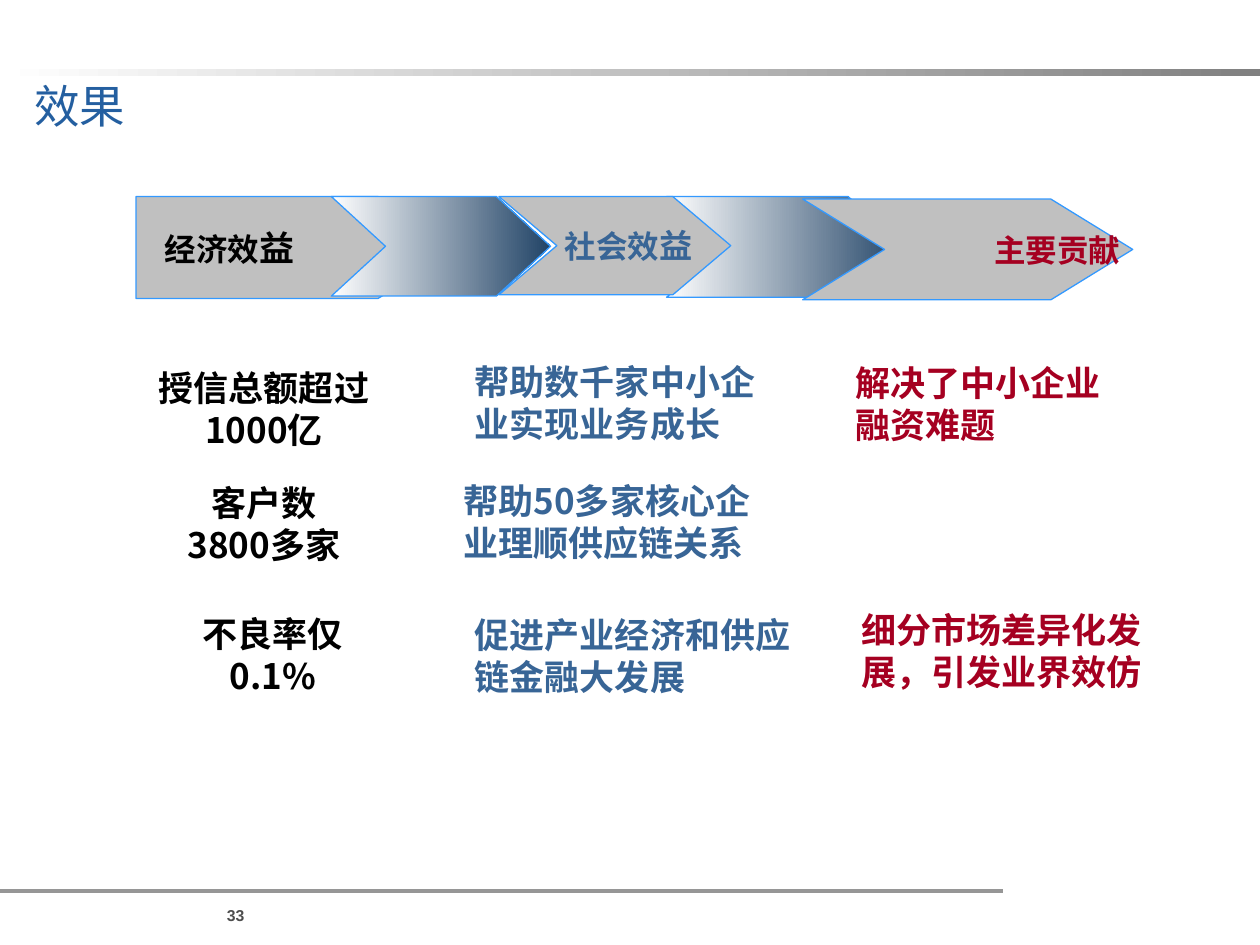
from dataclasses import dataclass

from lxml.etree import SubElement
from pptx import Presentation
from pptx.dml.color import RGBColor
from pptx.dml.fill import FillFormat
from pptx.enum.shapes import MSO_CONNECTOR, MSO_SHAPE
from pptx.enum.text import MSO_ANCHOR, PP_ALIGN
from pptx.oxml.ns import qn
from pptx.slide import Slide
from pptx.text.text import TextFrame
from pptx.util import Inches, Pt

COLORS = {
    "white": "FFFFFF",
    "rule": "808080",
    "footer": "969696",
    "number": "4D4D4D",
    "title": "245FA0",
    "arrow": "C0C0C0",
    "outline": "3399FF",
    "navy": "214366",
    "economic": "000000",
    "social": "386596",
    "contribution": "A50021",
}
LATIN = "Arial"
CHINESE = "Noto Sans CJK SC"
LEFT, CENTER, RIGHT = PP_ALIGN.LEFT, PP_ALIGN.CENTER, PP_ALIGN.RIGHT


@dataclass
class Arrow:
    left: float
    top: float
    width: float
    height: float
    tip: float
    notched: bool = True
    label: str = ""
    color: str = ""
    align: PP_ALIGN = LEFT
    indent: float = 0.1
    last_size: int = 18


@dataclass
class Statement:
    left: float
    top: float
    width: float
    height: float
    text: str
    color: str
    align: PP_ALIGN = LEFT
    font: str = LATIN


ARROWS = [
    Arrow(1.08, 1.56, 2.57, 0.81, 0.65, False, "经济效益", "economic", LEFT, 0.23, 20),
    Arrow(2.63, 1.56, 1.74, 0.79, 0.43),
    Arrow(5.29, 1.56, 1.92, 0.8, 0.48),
    Arrow(3.96, 1.56, 1.84, 0.78, 0.46, True, "社会效益", "social", CENTER, 0.32, 19),
    Arrow(6.37, 1.58, 2.62, 0.8, 0.65, True, "主要贡献", "contribution", RIGHT),
]

STATEMENTS = [
    Statement(1.05, 2.86, 2.09, 0.77, "授信总额超过\n1000亿", "economic", CENTER, CHINESE),
    Statement(1.05, 3.77, 2.09, 0.77, "客户数\n3800多家", "economic", CENTER, CHINESE),
    Statement(1.14, 4.81, 2.05, 0.77, "不良率仅\n0.1%", "economic", CENTER, CHINESE),
    Statement(3.67, 2.81, 2.43, 0.77, "帮助数千家中小企\n业实现业务成长", "social"),
    Statement(3.58, 3.76, 2.61, 1.1, "帮助50多家核心企\n业理顺供应链关系", "social", LEFT, CHINESE),
    Statement(3.67, 4.82, 2.84, 0.77, "促进产业经济和供应链金融大发展", "social"),
    Statement(6.69, 2.82, 2.38, 0.77, "解决了中小企业\n融资难题", "contribution"),
    Statement(6.74, 4.78, 2.53, 0.77, "细分市场差异化发\n展，引发业界效仿", "contribution"),
]


def rgb(name: str) -> RGBColor:
    return RGBColor.from_string(COLORS[name])


def fill_gradient(fill: FillFormat, end: str) -> None:
    fill.gradient()
    fill.gradient_angle = 0
    for stop, position, color in zip(fill.gradient_stops, (0, 1), ("white", end)):
        stop.position = position
        stop.color.rgb = rgb(color)


def set_margins(frame: TextFrame, side: float, edge: float) -> None:
    frame.margin_left = frame.margin_right = Inches(side)
    frame.margin_top = frame.margin_bottom = Inches(edge)


def format_text(frame: TextFrame, size: int, color: str, align: PP_ALIGN,
                font: str = LATIN, bold: bool = True) -> None:
    for paragraph in frame.paragraphs:
        paragraph.alignment = align
        for span in paragraph.runs:
            span.font.size = Pt(size)
            span.font.bold = bold
            span.font.name = font
            span.font.color.rgb = rgb(color)
            east_asian = SubElement(span.font._element, qn("a:ea"))
            east_asian.set("typeface", CHINESE)


def set_line_height(frame: TextFrame, size: int) -> None:
    for paragraph in frame.paragraphs:
        paragraph.line_spacing = Pt(1.2 * size)


def draw_arrow(page: Slide, arrow: Arrow) -> None:
    right, bottom = arrow.left + arrow.width, arrow.top + arrow.height
    middle, shoulder = arrow.top + arrow.height / 2, right - arrow.tip
    points = [(shoulder, arrow.top), (right, middle), (shoulder, bottom), (arrow.left, bottom)]
    if arrow.notched:
        points.append((arrow.left + arrow.tip, middle))
    builder = page.shapes.build_freeform(Inches(arrow.left), Inches(arrow.top))
    builder.add_line_segments([(Inches(x), Inches(y)) for x, y in points], close=True)
    shape = builder.convert_to_shape()
    shape.shadow.inherit = False
    shape.line.color.rgb = rgb("outline")
    shape.line.width = Pt(0.75)
    if not arrow.label:
        fill_gradient(shape.fill, "navy")
        return
    shape.fill.solid()
    shape.fill.fore_color.rgb = rgb("arrow")
    frame = shape.text_frame
    frame.word_wrap = False
    frame.vertical_anchor = MSO_ANCHOR.MIDDLE
    set_margins(frame, 0.1, 0.05)
    frame.margin_left = Inches(arrow.indent)
    paragraph = frame.paragraphs[0]
    for part in (arrow.label[:-1], arrow.label[-1]):
        paragraph.add_run().text = part
    format_text(frame, 18, arrow.color, arrow.align)
    paragraph.runs[-1].font.size = Pt(arrow.last_size)


def draw_statement(page: Slide, item: Statement) -> None:
    box = page.shapes.add_textbox(
        Inches(item.left), Inches(item.top), Inches(item.width), Inches(item.height))
    frame = box.text_frame
    frame.text = item.text
    frame.word_wrap = len(frame.paragraphs) == 1
    set_margins(frame, 0.1, 0.05)
    format_text(frame, 20, item.color, item.align, item.font)
    set_line_height(frame, 20)


def draw_frame(page: Slide) -> None:
    band = page.shapes.add_shape(
        MSO_SHAPE.RECTANGLE, 0, Inches(0.55), Inches(10), Inches(0.05))
    band.shadow.inherit = False
    band.line.fill.background()
    fill_gradient(band.fill, "rule")

    number = page.shapes.add_textbox(Inches(0.84), Inches(7.19), Inches(1.1), Inches(0.15))
    number.text_frame.text = "33"
    number.text_frame.word_wrap = True
    set_margins(number.text_frame, 0, 0)
    format_text(number.text_frame, 9, "number", RIGHT)

    rule = page.shapes.add_connector(
        MSO_CONNECTOR.STRAIGHT, 0, Inches(7.07), Inches(7.96), Inches(7.07))
    rule.line.color.rgb = rgb("footer")
    rule.line.width = 0
    SubElement(rule._element.spPr, qn("a:effectLst"))


def draw_title(page: Slide) -> None:
    title = page.shapes.title
    title.left, title.top = Inches(0.27), Inches(0.62)
    title.width, title.height = Inches(9.06), Inches(0.43)
    frame = title.text_frame
    frame.text = "效果"
    frame.word_wrap = True
    frame.vertical_anchor = MSO_ANCHOR.TOP
    set_margins(frame, 0, 0)
    format_text(frame, 26, "title", LEFT, bold=False)
    set_line_height(frame, 26)


def main() -> None:
    deck = Presentation()
    deck.slide_width, deck.slide_height = Inches(10), Inches(7.5)
    page = deck.slides.add_slide(deck.slide_layouts[5])
    draw_frame(page)
    draw_title(page)
    for arrow in ARROWS:
        draw_arrow(page, arrow)
    for item in STATEMENTS:
        draw_statement(page, item)
    deck.save("out.pptx")


if __name__ == "__main__":
    main()
